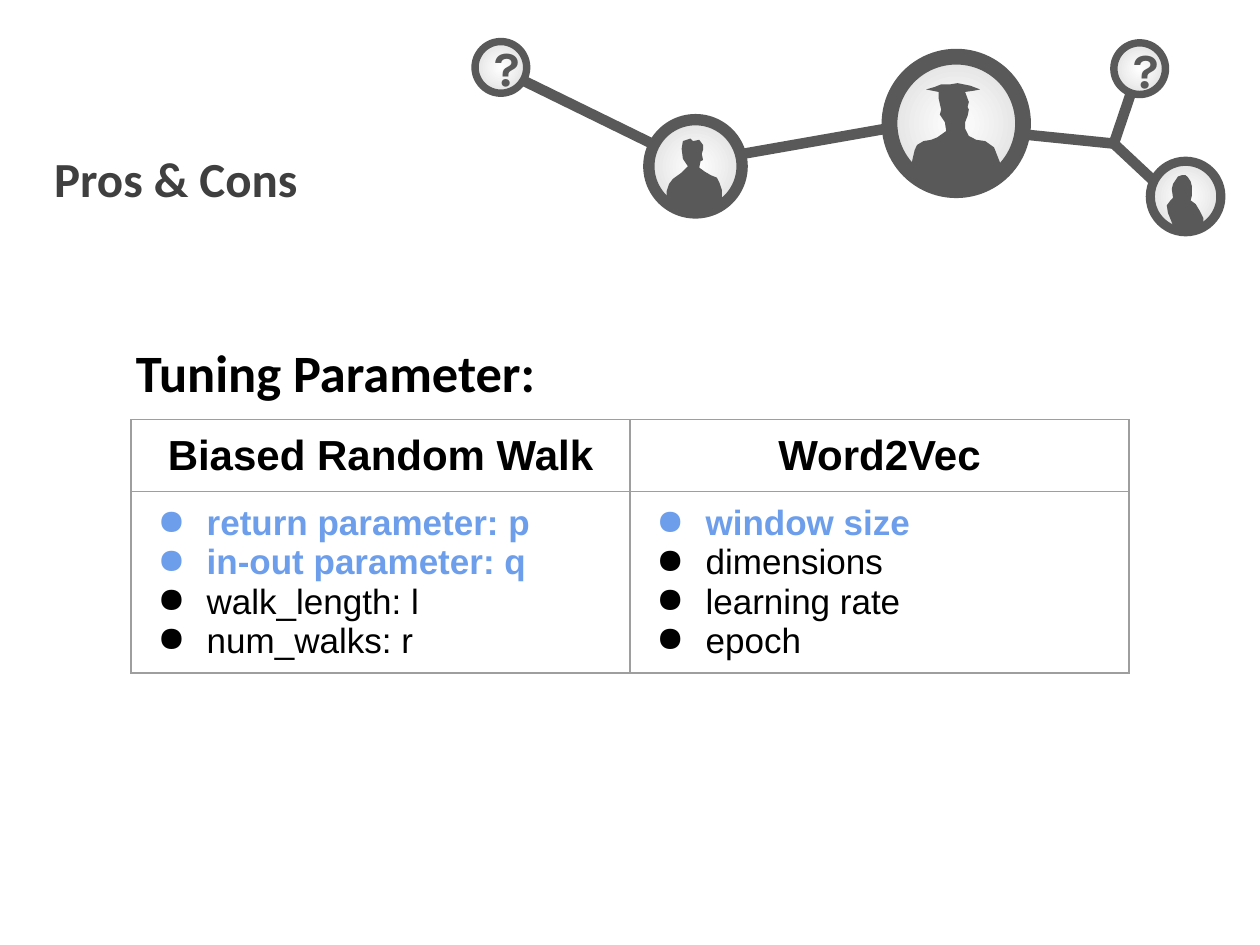
"""Build the Pros & Cons slide with a people network and a parameter table."""
from lxml import etree
from pptx import Presentation
from pptx import util as u
from pptx.dml.color import RGBColor
from pptx.enum import shapes, text
from pptx.oxml.ns import qn

GRAY = RGBColor(0x59, 0x59, 0x59)
TITLE_GRAY = RGBColor(0x3F, 0x3F, 0x3F)
BLACK = RGBColor(0, 0, 0)
WHITE = RGBColor(0xFF, 0xFF, 0xFF)
LIGHT = RGBColor(0xD8, 0xD8, 0xD8)
BLUE = RGBColor(0x6D, 0x9E, 0xEB)
BORDER = RGBColor(0x9E, 0x9E, 0x9E)

TITLE = {"name": "Calibri", "size": u.Pt(28), "bold": True, "color": TITLE_GRAY}
SUBTITLE = {"name": "Calibri", "size": u.Pt(30), "bold": True, "color": BLACK}
QUESTION = {"name": "Karla", "size": u.Pt(28), "bold": True, "color": GRAY}
HEADER = {"name": "Arial", "size": u.Pt(24), "bold": True, "color": BLACK}
ITEM = {"name": "Arial", "size": u.Pt(20), "bold": False, "color": BLACK}
KEY_ITEM = {**ITEM, "bold": True, "color": BLUE}

LINKS = [
    ((8.84, 1.14), (9.04, 0.55)),
    ((7.66, 1.02), (8.84, 1.14)),
    ((5.42, 1.26), (3.97, 0.55)),
    ((7.44, 0.95), (5.56, 1.28)),
    ((9.31, 1.58), (8.84, 1.14)),
]
NODES = [
    (7.06, 0.45, 1.06, 9, ""),
    (5.15, 0.95, 0.74, 6.5, ""),
    (9.13, 1.28, 0.56, 5.25, ""),
    (3.77, 0.33, 0.41, 4.25, "?"),
    (8.84, 0.34, 0.41, 4.25, "?"),
]
# Outline points are in hundredths of an inch.
GRADUATE = [
    (723, 132), (726, 119), (728, 115), (733, 112), (739, 111), (744, 109),
    (751, 104), (750, 97), (746, 91), (747, 87), (745, 78), (745, 73),
    (740, 72), (735, 71), (742, 69), (747, 67), (754, 67), (760, 66),
    (770, 68), (778, 71), (773, 72), (766, 73), (769, 81), (768, 85),
    (769, 87), (768, 92), (766, 97), (766, 102), (769, 108), (775, 111),
    (782, 112), (789, 117), (796, 135), (787, 143), (773, 149), (758, 151),
    (743, 149), (731, 143), (723, 136),
]
MAN = [
    (529, 157), (529, 152), (531, 146), (534, 142), (541, 137), (546, 132),
    (542, 126), (541, 118), (542, 112), (548, 110), (550, 112), (555, 111),
    (558, 115), (558, 119), (557, 122), (558, 127), (556, 128), (555, 133),
    (559, 136), (564, 139), (569, 141), (571, 145), (573, 151), (573, 156),
    (576, 159), (569, 165), (560, 168), (551, 169), (538, 167), (528, 161),
]
WOMAN = [
    (929, 159), (931, 157), (930, 150), (931, 146), (933, 143), (935, 140),
    (938, 139), (941, 139), (943, 141), (945, 144), (946, 148), (946, 155),
    (945, 159), (949, 162), (952, 167), (955, 173), (955, 176), (954, 180),
    (951, 180), (950, 183), (941, 184), (930, 182), (931, 179), (929, 174),
    (927, 169), (926, 163),
]
COLUMNS = [
    ("Biased Random Walk", [
        ("return parameter: p", KEY_ITEM), ("in-out parameter: q", KEY_ITEM),
        ("walk_length: l", ITEM), ("num_walks: r", ITEM)]),
    ("Word2Vec", [
        ("window size", KEY_ITEM), ("dimensions", ITEM),
        ("learning rate", ITEM), ("epoch", ITEM)]),
]


def write(paragraph, words, style, align=text.PP_ALIGN.LEFT):
    """Add one formatted run to a paragraph."""
    paragraph.alignment = align
    run = paragraph.add_run()
    run.text = words
    for name, value in style.items():
        if name == "color":
            run.font.color.rgb = value
        else:
            setattr(run.font, name, value)


def add_link(slide, start, end):
    """Draw a thick gray link between two points."""
    ends = [u.Inches(value) for value in (*start, *end)]
    link = slide.shapes.add_connector(shapes.MSO_CONNECTOR.STRAIGHT, *ends)
    link.line.color.rgb = GRAY
    link.line.width = u.Pt(6)
    etree.SubElement(link._element.spPr, qn("a:effectLst"))


def add_node(slide, left, top, size, width, words):
    """Draw a ringed circle with a radial fill and an optional symbol."""
    box = [u.Inches(value) for value in (left, top, size, size)]
    node = slide.shapes.add_shape(shapes.MSO_SHAPE.OVAL, *box)
    node.shadow.inherit = False
    node.line.color.rgb = GRAY
    node.line.width = u.Pt(width)
    node.fill.gradient()
    for stop, color, position in zip(node.fill.gradient_stops, (WHITE, LIGHT), (0, 1)):
        stop.color.rgb = color
        stop.position = position
    gradient = node._element.spPr.find(qn("a:gradFill"))
    gradient.remove(gradient.find(qn("a:lin")))
    radial = etree.SubElement(gradient, qn("a:path"), path="circle")
    etree.SubElement(radial, qn("a:fillToRect"), dict.fromkeys("ltrb", "50000"))
    if words:
        node.text_frame.vertical_anchor = text.MSO_ANCHOR.MIDDLE
        write(node.text_frame.paragraphs[0], words, QUESTION, text.PP_ALIGN.CENTER)


def add_silhouette(slide, points):
    """Draw a solid gray outline."""
    builder = slide.shapes.build_freeform(*points[0], scale=u.Inches(0.01))
    builder.add_line_segments(points[1:], close=True)
    shape = builder.convert_to_shape()
    shape.shadow.inherit = False
    shape.fill.solid()
    shape.fill.fore_color.rgb = GRAY
    shape.line.fill.background()


def add_title(slide):
    """Place and format the title."""
    title = slide.shapes.title
    for name, value in {"left": 0.33, "top": 0.83, "width": 4.81, "height": 1.16}.items():
        setattr(title, name, u.Inches(value))
    title.text_frame.vertical_anchor = text.MSO_ANCHOR.MIDDLE
    write(title.text_frame.paragraphs[0], "Pros & Cons", TITLE)


def add_subtitle(slide):
    """Add the heading above the table."""
    box = [u.Inches(value) for value in (0.98, 2.6, 8.03, 0.52)]
    frame = slide.shapes.add_textbox(*box).text_frame
    frame.word_wrap = True
    for side in ("left", "top", "right", "bottom"):
        setattr(frame, f"margin_{side}", u.Inches(0.1))
    write(frame.paragraphs[0], "Tuning Parameter:", SUBTITLE)


def add_bullet(paragraph, color):
    """Give a paragraph a hanging round bullet."""
    properties = paragraph._p.get_or_add_pPr()
    properties.set("marL", str(u.Inches(0.5)))
    properties.set("indent", str(u.Inches(-0.39)))
    bullet_color = etree.SubElement(properties, qn("a:buClr"))
    etree.SubElement(bullet_color, qn("a:srgbClr"), val=str(color))
    etree.SubElement(properties, qn("a:buChar"), char="●")


def format_cell(cell):
    """Set equal margins, thin borders and no fill."""
    for side in ("left", "top", "right", "bottom"):
        setattr(cell, f"margin_{side}", u.Inches(0.1))
    properties = cell._tc.get_or_add_tcPr()
    for side in "LRTB":
        line = etree.SubElement(properties, qn(f"a:ln{side}"), w=str(u.Pt(0.75)))
        fill = etree.SubElement(line, qn("a:solidFill"))
        etree.SubElement(fill, qn("a:srgbClr"), val=str(BORDER))
    cell.fill.background()


def add_parameter_table(slide):
    """Add the table of tuning parameters."""
    box = [u.Inches(value) for value in (1.04, 3.33, 7.92, 2.01)]
    table = slide.shapes.add_table(2, len(COLUMNS), *box).table
    table.first_row = table.horz_banding = False
    for row, height in zip(table.rows, (0.57, 1.44)):
        row.height = u.Inches(height)
    for column, (heading, items) in enumerate(COLUMNS):
        header, body = table.cell(0, column), table.cell(1, column)
        format_cell(header)
        format_cell(body)
        write(header.text_frame.paragraphs[0], heading, HEADER, text.PP_ALIGN.CENTER)
        for index, (words, style) in enumerate(items):
            frame = body.text_frame
            paragraph = frame.add_paragraph() if index else frame.paragraphs[0]
            write(paragraph, words, style)
            add_bullet(paragraph, style["color"])


def main():
    """Build and save the presentation."""
    presentation = Presentation()
    presentation.slide_width, presentation.slide_height = u.Inches(10), u.Inches(7.5)
    slide = presentation.slides.add_slide(presentation.slide_layouts[5])
    for link in LINKS:
        add_link(slide, *link)
    for node in NODES:
        add_node(slide, *node)
    for outline in (GRADUATE, MAN, WOMAN):
        add_silhouette(slide, outline)
    add_title(slide)
    add_parameter_table(slide)
    add_subtitle(slide)
    presentation.save("out.pptx")


if __name__ == "__main__":
    main()
